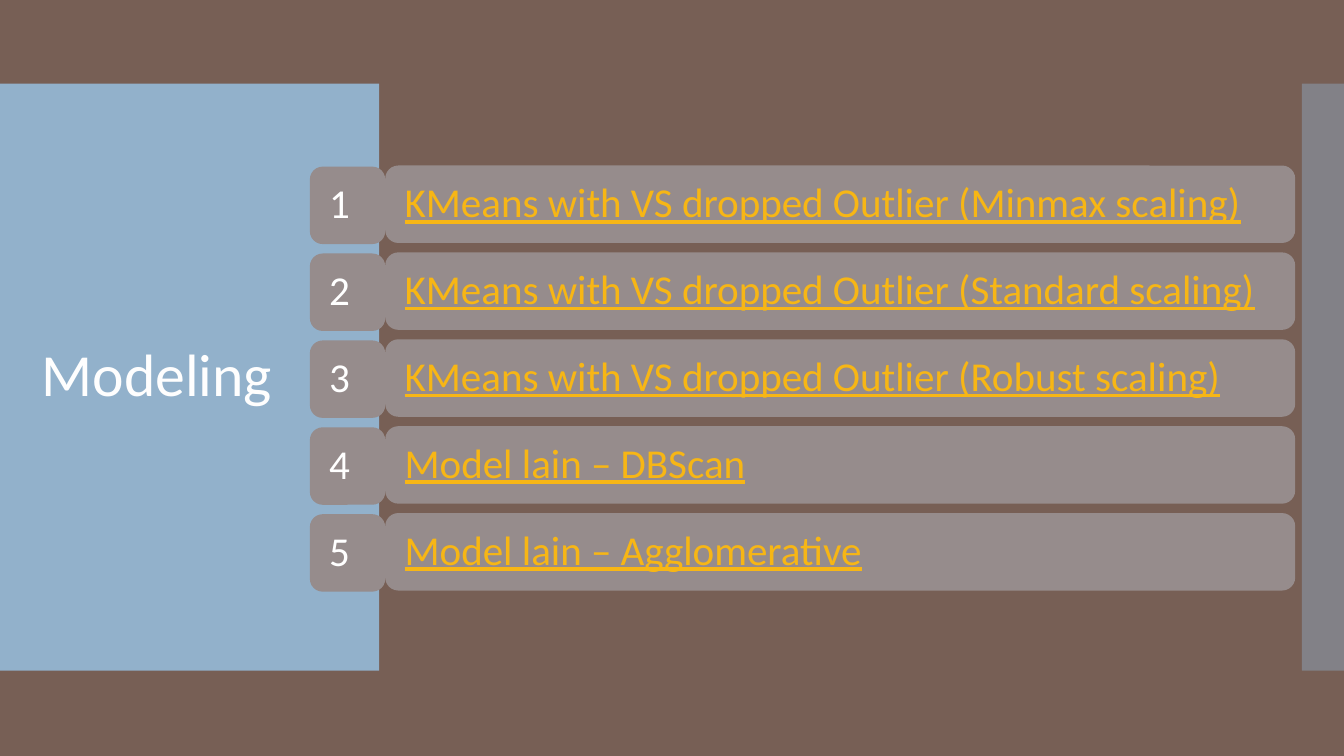
from lxml.etree import SubElement
from pptx import Presentation
from pptx.dml.color import RGBColor
from pptx.enum.shapes import MSO_SHAPE as Shape
from pptx.enum.text import MSO_ANCHOR as Anchor, PP_ALIGN as Align
from pptx.oxml.ns import qn
from pptx.util import Pt

TITLE = "Modeling"
MODELS = [
    "KMeans with VS dropped Outlier (Minmax scaling)",
    "KMeans with VS dropped Outlier (Standard scaling)",
    "KMeans with VS dropped Outlier (Robust scaling)",
    "Model lain – DBScan",
    "Model lain – Agglomerative",
]

THEME = {
    "font": "Calibri",
    "background": "775F55",
    "panel": "94B6D2",
    "row": "968C8C",
    "title": "FEFEFE",
    "number": "FFFFFF",
    "link": "F7B615",
    "title_size": 32,
    "row_size": 22,
}

PANEL_TOP, PANEL_HEIGHT = 44.8, 314.6
ROW_TOP, ROW_HEIGHT, ROW_PITCH = 88.7, 41.5, 46.55
NUMBER_LEFT, NUMBER_WIDTH, NUMBER_DROP = 166, 40.4, 0.6
MODEL_LEFT, MODEL_WIDTH = 206.4, 487.5


def add_block(slide, preset, box, color, opacity=100):
    block = slide.shapes.add_shape(preset, *map(Pt, box))
    block.shadow.inherit = False
    block.line.fill.background()
    block.fill.solid()
    block.fill.fore_color.rgb = RGBColor.from_string(color)
    if opacity < 100:
        srgb = block.fill._xPr.find(".//" + qn("a:srgbClr"))
        SubElement(srgb, qn("a:alpha"), val=str(opacity * 1000))
    return block


def write(holder, text, *, size, color, underline=False, inset=8.4):
    frame = holder.text_frame
    frame.word_wrap = True
    frame.vertical_anchor = Anchor.MIDDLE
    frame.margin_left = frame.margin_right = Pt(inset)
    frame.margin_top = frame.margin_bottom = Pt(3.6)
    paragraph = frame.paragraphs[0]
    paragraph.alignment = Align.LEFT
    paragraph.line_spacing = 0.9
    run = paragraph.add_run()
    run.text = text
    run.font.name = THEME["font"]
    run.font.size = Pt(size)
    run.font.underline = underline
    run.font.color.rgb = RGBColor.from_string(color)


def add_row(slide, index, model):
    top = ROW_TOP + index * ROW_PITCH
    cells = [
        (model, MODEL_LEFT, top, MODEL_WIDTH, "link"),
        (str(index + 1), NUMBER_LEFT, top + NUMBER_DROP, NUMBER_WIDTH, "number"),
    ]
    for text, left, cell_top, width, role in cells:
        cell = add_block(slide, Shape.ROUNDED_RECTANGLE,
                         (left, cell_top, width, ROW_HEIGHT), THEME["row"])
        cell.adjustments[0] = 0.17
        write(cell, text, size=THEME["row_size"], color=THEME[role],
              underline=role == "link")


def main():
    deck = Presentation()
    deck.slide_width, deck.slide_height = Pt(720), Pt(405)
    slide = deck.slides.add_slide(deck.slide_layouts[6])
    slide.background.fill.solid()
    slide.background.fill.fore_color.rgb = RGBColor.from_string(THEME["background"])

    for left, width, opacity in [(0, 203.2, 95), (697.5, 22.5, 40)]:
        add_block(slide, Shape.RECTANGLE, (left, PANEL_TOP, width, PANEL_HEIGHT),
                  THEME["panel"], opacity)

    for index, model in enumerate(MODELS):
        add_row(slide, index, model)

    title = slide.shapes.add_textbox(Pt(15.2), Pt(66.2), Pt(174.2), Pt(271.4))
    write(title, TITLE, size=THEME["title_size"], color=THEME["title"], inset=7.2)
    deck.save("out.pptx")


if __name__ == "__main__":
    main()
